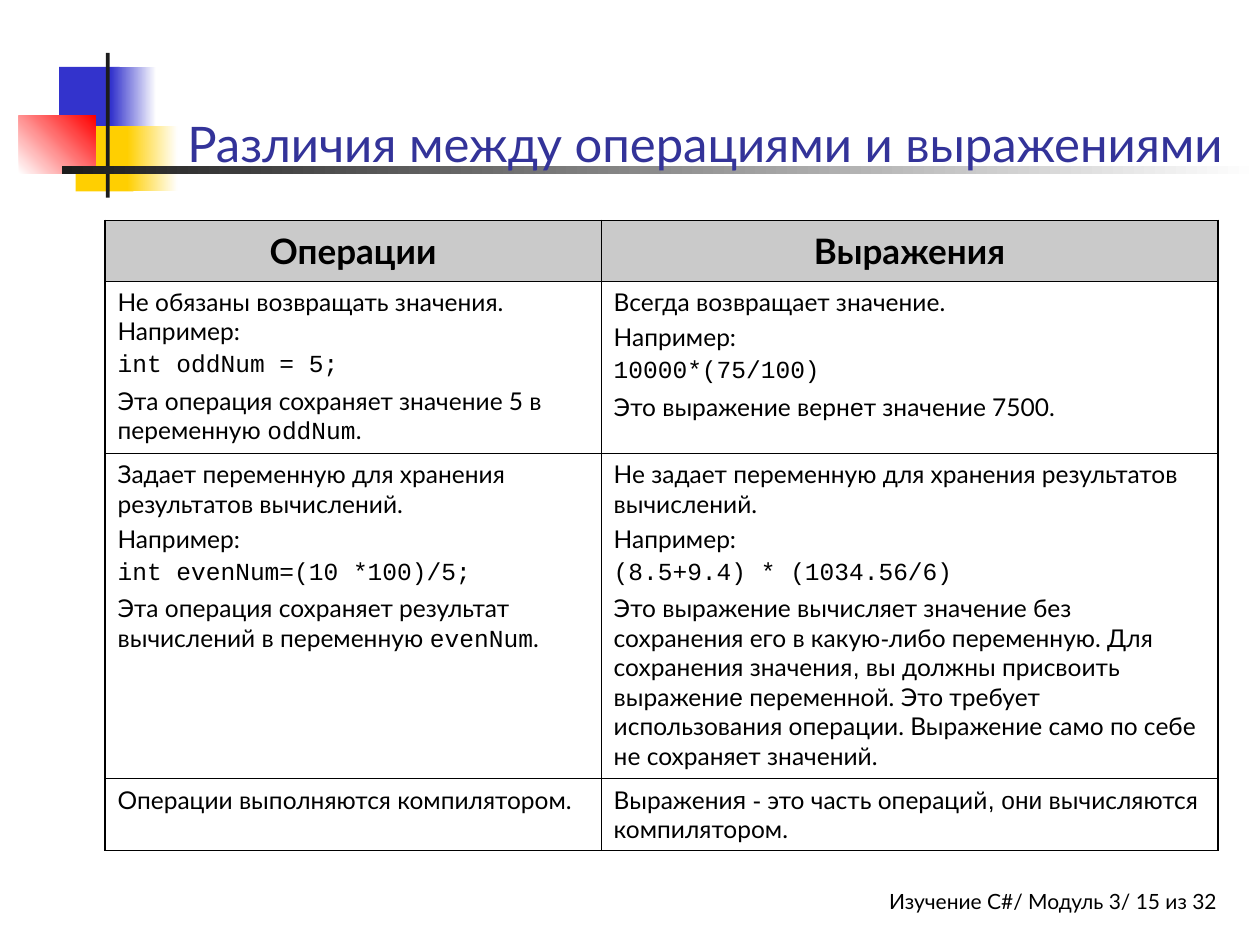
from lxml.etree import SubElement
from pptx import Presentation
from pptx.dml.color import RGBColor
from pptx.enum.shapes import MSO_SHAPE
from pptx.enum.text import MSO_ANCHOR as Anchor, PP_ALIGN as Align
from pptx.oxml.ns import qn
from pptx.util import Pt

COLORS = {
    "black": "000000", "white": "FFFFFF", "title": "333399", "header": "969696",
    "blue": "3333CC", "yellow": "FFCF01", "red": "FF0000", "dark": "1C1C1C",
}
BODY, CODE, ARIAL = "Lato", "Courier New", "Arial"
OUTER, INNER = 1.08, 0.45

EMBLEM = [
    (23, 8, 34.6, 37.4, ["blue"], 0),
    (52.6, 8, 25.9, 37.4, ["blue", "white"], 0),
    (32.4, 41.8, 33.1, 37.4, ["yellow"], 0),
    (61.9, 41.8, 28.8, 37.4, ["yellow", "white"], 0),
    (0, 36, 43.9, 33.1, ["white", "red"], 45),
    (49.7, 0, 2.2, 82.8, ["dark"], 0),
    (24.5, 64.8, 684.7, 4.3, ["dark", "white"], 0),
]

HEADERS = ["Операции", "Выражения"]
ROWS = [
    [
        [
            ["Не обязаны возвращать значения. Например:"],
            [("int oddNum = 5;", CODE)],
            ["Эта операция сохраняет значение 5 в переменную ", ("oddNum", CODE), "."],
        ],
        [
            ["Всегда возвращает значение."],
            ["Например:"],
            [("10000*(75/100)", CODE)],
            ["Это выражение верн", ("е", ARIAL), "т значение 7500."],
        ],
    ],
    [
        [
            ["Задает переменную для хранения результатов вычислений."],
            ["Например:"],
            [("int evenNum=(10 *100)/5;", CODE)],
            ["Эта операция сохраняет результат вычислений в переменную ",
             ("evenNum", CODE), "."],
        ],
        [
            ["Не задает переменную для хранения результатов вычислений."],
            ["Например:"],
            [("(8.5+9.4) * (1034.56/6)", CODE)],
            ["Это выражение вычисляет значение без сохранения его в какую", ("-", ARIAL),
             "либо переменную. Для сохранения значения", (",", ARIAL),
             " вы должны присвоить выражени", ("е", ARIAL),
             " переменной. Это требует использования операции. "
             "Выражение само по себе не сохраняет значений."],
        ],
    ],
    [
        [["Операции выполняются компилятором."]],
        [["Выражени", ("я -", ARIAL), " это часть операций", (", они", ARIAL),
          " вычисляются компилятором."]],
    ],
]


def rgb(name):
    """Return the named colour."""
    return RGBColor.from_string(COLORS[name])


def apply(target, values):
    """Set every attribute of a format dict on the target."""
    for name, value in values.items():
        setattr(target, name, value)


def write_paragraphs(frame, paragraphs, size, color="black", bold=False, align=Align.LEFT):
    """Fill a text frame with paragraphs made of spans."""
    for index, spans in enumerate(paragraphs):
        para = frame.add_paragraph() if index else frame.paragraphs[0]
        apply(para, {"alignment": align, "space_before": Pt(3.5 if index else 0)})
        for item in spans:
            text, font = (item, BODY) if isinstance(item, str) else item
            span = para.add_run()
            span.text = text
            apply(span.font, {"name": font, "size": Pt(size), "bold": bold})
            span.font.color.rgb = rgb(color)


def add_label(page, box, text, size, color, align, frame_format):
    """Place a single line of text in the given box."""
    frame = page.shapes.add_textbox(*map(Pt, box)).text_frame
    apply(frame, {"word_wrap": True, **frame_format})
    write_paragraphs(frame, [[text]], size, color, align=align)


def add_emblem(page, box):
    """Draw the coloured squares and the crossing bars from the box corner."""
    left, top = box
    for x, y, width, height, fills, angle in EMBLEM:
        block = page.shapes.add_shape(
            MSO_SHAPE.RECTANGLE, Pt(left + x), Pt(top + y), Pt(width), Pt(height))
        block.shadow.inherit = False
        block.line.fill.background()
        if len(fills) == 1:
            block.fill.solid()
            block.fill.fore_color.rgb = rgb(fills[0])
            continue
        block.fill.gradient()
        block.fill.gradient_angle = angle
        for stop, name in zip(block.fill.gradient_stops, fills):
            stop.color.rgb = rgb(name)


def add_borders(cell, widths):
    """Give a cell its left, right, top and bottom lines."""
    properties = cell._tc.get_or_add_tcPr()
    for side, width in zip("LRTB", widths):
        line = SubElement(properties, qn(f"a:ln{side}"), w=str(Pt(width)))
        fill = SubElement(line, qn("a:solidFill"))
        SubElement(fill, qn("a:srgbClr"), val=COLORS["black"])


def add_comparison(page, box, column_widths, row_heights):
    """Build the two-column comparison table in the given box."""
    last_row, last_column = len(row_heights) - 1, len(column_widths) - 1
    table = page.shapes.add_table(last_row + 1, last_column + 1, *map(Pt, box)).table
    apply(table, {"first_row": False, "horz_banding": False})
    for column, width in zip(table.columns, column_widths):
        column.width = Pt(width)
    for row, height in zip(table.rows, row_heights):
        row.height = Pt(height)
    contents = [[[[header]] for header in HEADERS]] + ROWS
    for r, row in enumerate(contents):
        for c, paragraphs in enumerate(row):
            cell = table.cell(r, c)
            edges = (c == 0, c == last_column, r == 0, r == last_row)
            add_borders(cell, [OUTER if edge else INNER for edge in edges])
            if r:
                cell.fill.background()
                write_paragraphs(cell.text_frame, paragraphs, 14)
                continue
            cell.vertical_anchor = Anchor.MIDDLE
            cell.fill.solid()
            cell.fill.fore_color.rgb = rgb("header")
            shade = cell._tc.tcPr.find(qn("a:solidFill"))[0]
            SubElement(shade, qn("a:alpha"), val="50000")
            write_paragraphs(cell.text_frame, paragraphs, 20, bold=True, align=Align.CENTER)


def build_slide(deck):
    """Add the comparison slide to the deck."""
    page = deck.slides.add_slide(deck.slide_layouts[6])
    add_label(page, (330, 504, 365.5, 24), "Изучение C#/ Модуль 3/ 15 из 32",
              12, "black", Align.RIGHT, {"margin_right": 0})
    add_emblem(page, (10.8, 30.2))
    add_label(page, (100, 12, 613.5, 90), "Различия между операциями и выражениями",
              28, "title", Align.LEFT, {"vertical_anchor": Anchor.BOTTOM})
    add_comparison(page, (60, 126, 636, 360), (283.5, 352.5), (34.5, 98.5, 186, 41))


def main():
    """Create and save the deck."""
    deck = Presentation()
    apply(deck, {"slide_width": Pt(720), "slide_height": Pt(540)})
    build_slide(deck)
    deck.save("out.pptx")


if __name__ == "__main__":
    main()
